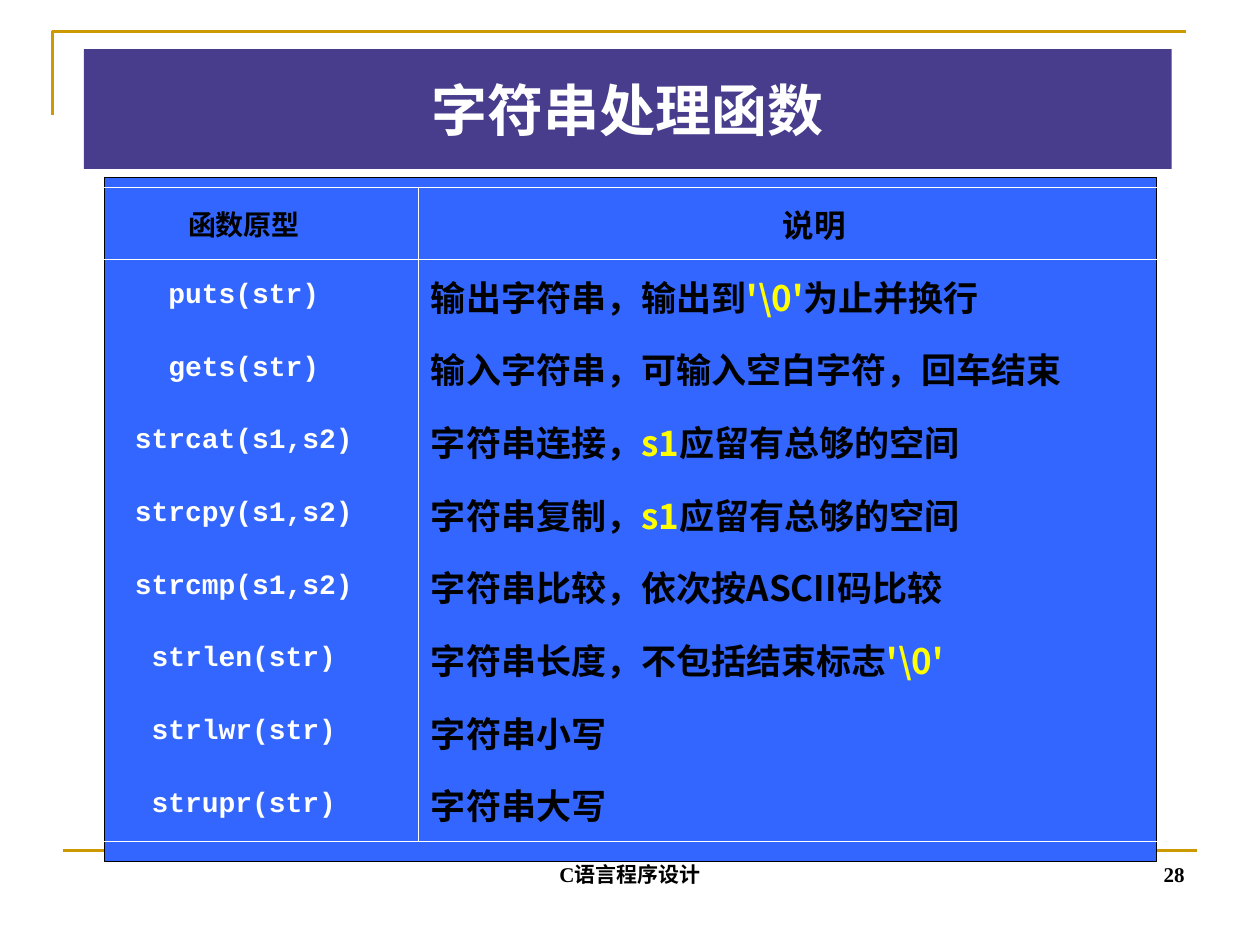
from lxml import etree
from pptx import Presentation
from pptx.dml.color import RGBColor
from pptx.enum.shapes import MSO_CONNECTOR, MSO_SHAPE
from pptx.enum.text import MSO_ANCHOR as Anchor, PP_ALIGN as Align
from pptx.oxml.ns import qn
from pptx.util import Pt

COLORS = {"gold": "CC9900", "blue": "3366FF", "purple": "473D8C",
          "black": "000000", "white": "FFFFFF", "yellow": "FFFF00"}
CJK_FONT = "Noto Sans CJK JP"
BORDER_WIDTH = 0.45


def color(name):
    return RGBColor.from_string(COLORS[name])


def write(frame, pieces, size, font, align, anchor=Anchor.MIDDLE, before=0):
    """Fill a text frame with one bold paragraph of (text, colour) pieces."""
    frame.word_wrap = True
    frame.vertical_anchor = anchor
    para = frame.paragraphs[0]
    para.alignment = align
    para.space_before = Pt(before)
    for text, shade in pieces:
        span = para.add_run()
        span.text = text
        span.font.size = Pt(size)
        span.font.bold = True
        span.font.name = font
        span.font.color.rgb = color(shade)
        properties = span.font._element
        properties.set("lang", "zh-CN")
        east_asian = etree.Element(qn("a:ea"), typeface=CJK_FONT)
        properties.find(qn("a:latin")).addnext(east_asian)


deck = Presentation()
deck.slide_width, deck.slide_height = Pt(720), Pt(540)
page = deck.slides.add_slide(deck.slide_layouts[6])
shapes = page.shapes

# Gold frame: corner at the top left, rule at the bottom
builder = shapes.build_freeform(Pt(30), Pt(66))
builder.add_line_segments([(Pt(30), Pt(18)), (Pt(678), Pt(18))], close=False)
corner = builder.convert_to_shape()
corner.fill.background()
corner.shadow.inherit = False
rule = shapes.add_connector(MSO_CONNECTOR.STRAIGHT, Pt(36), Pt(486), Pt(684), Pt(486))
etree.SubElement(rule._element.spPr, qn("a:effectLst"))
for stroke in (corner, rule):
    stroke.line.color.rgb = color("gold")
    stroke.line.width = Pt(1.5)

# Blue panel and title band
panel = shapes.add_shape(MSO_SHAPE.RECTANGLE, Pt(59.75), Pt(101.5), Pt(601), Pt(391))
title = shapes.add_shape(MSO_SHAPE.RECTANGLE, Pt(48), Pt(28), Pt(621.5), Pt(68.5))
for box, shade in ((panel, "blue"), (title, "purple")):
    box.shadow.inherit = False
    box.fill.solid()
    box.fill.fore_color.rgb = color(shade)
panel.line.color.rgb = color("black")
panel.line.width = Pt(0.75)
title.line.fill.background()
write(title.text_frame, [("字符串处理函数", "white")], 32, "Arial", Align.CENTER)

# Function table
functions = [
    ("puts(str)", [("输出字符串，输出到", "black"), ("'\\0'", "yellow"),
                   ("为止并换行", "black")]),
    ("gets(str)", [("输入字符串，可输入空白字符，回车结束", "black")]),
    ("strcat(s1,s2)", [("字符串连接，", "black"), ("s1", "yellow"),
                       ("应留有总够的空间", "black")]),
    ("strcpy(s1,s2)", [("字符串复制，", "black"), ("s1", "yellow"),
                       ("应留有总够的空间", "black")]),
    ("strcmp(s1,s2)", [("字符串比较，依次按ASCII码比较", "black")]),
    ("strlen(str)", [("字符串长度，不包括结束标志", "black"), ("'\\0'", "yellow")]),
    ("strlwr(str)", [("字符串小写", "black")]),
    ("strupr(str)", [("字符串大写", "black")]),
]
last = len(functions)
table = shapes.add_table(last + 1, 2, Pt(39.6), Pt(106.8), Pt(652), Pt(374)).table
table.first_row = table.horz_banding = False
for column, width in zip(table.columns, (199.5, 452.5)):
    column.width = Pt(width)
for row in table.rows:
    row.height = Pt(41.55)

write(table.cell(0, 0).text_frame, [("函数原型", "black")], 16, "Comic Neue",
      Align.CENTER, before=4)
write(table.cell(0, 1).text_frame, [("说明", "black")], 18, "Comic Neue",
      Align.CENTER, before=4.5)
for number, (prototype, meaning) in enumerate(functions, start=1):
    write(table.cell(number, 0).text_frame, [(prototype, "white")], 16,
          "Courier New", Align.CENTER, before=4)
    write(table.cell(number, 1).text_frame, meaning, 20, CJK_FONT,
          Align.LEFT, before=5)

# White rules around the header, under the last row and between the columns
for row in range(last + 1):
    for column in range(2):
        cell = table.cell(row, column)
        cell.vertical_anchor = Anchor.MIDDLE
        cell.fill.background()
        drawn = {"lnL": column == 1, "lnR": column == 0,
                 "lnT": row in (0, 1), "lnB": row in (0, last)}
        cell_properties = cell._tc.get_or_add_tcPr()
        for position, (side, visible) in enumerate(drawn.items()):
            border = etree.Element(qn(f"a:{side}"), w=str(Pt(BORDER_WIDTH)))
            if visible:
                fill = etree.SubElement(border, qn("a:solidFill"))
                etree.SubElement(fill, qn("a:srgbClr"), val=COLORS["white"])
            else:
                etree.SubElement(border, qn("a:noFill"))
            cell_properties.insert(position, border)

# Footer and page number
for text, left, top, width, align in (
        ("C语言程序设计", 246, 474.5, 228, Align.CENTER),
        ("28", 516, 474, 168, Align.RIGHT)):
    box = shapes.add_textbox(Pt(left), Pt(top), Pt(width), Pt(36))
    write(box.text_frame, [(text, "black")], 12, "Times New Roman", align,
          Anchor.BOTTOM)

deck.save("out.pptx")
